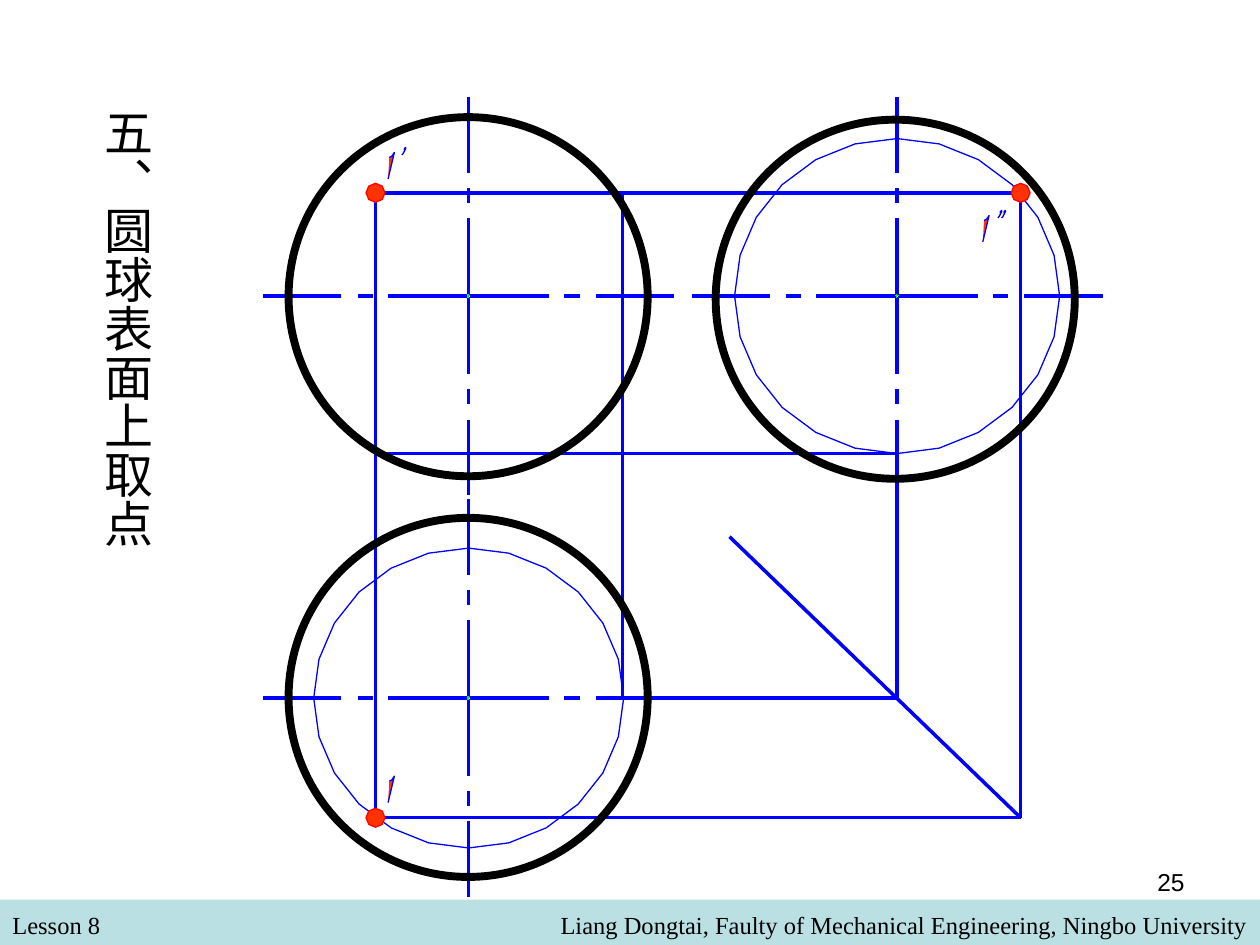
from math import cos, pi, sin

from lxml.etree import SubElement
from pptx import Presentation
from pptx.dml.color import RGBColor
from pptx.enum.shapes import MSO_CONNECTOR, MSO_SHAPE
from pptx.enum.text import MSO_AUTO_SIZE, PP_ALIGN
from pptx.oxml.ns import qn
from pptx.util import Inches, Pt

BLACK, BLUE, RED, GREEN = "000000", "0000FF", "FF0000", "00FF00"
POINT_FILL, FOOTER_FILL = "FF3300", "BBE0E3"
SPHERE_DIAMETER = 2.85

FRONT, SIDE, TOP = (3.72, 2.35), (7.12, 2.35), (3.72, 5.54)
POINT_FRONT, POINT_SIDE, POINT_TOP = (2.98, 1.53), (8.1, 1.53), (2.98, 6.49)

# Dash spans of a centre line, measured outwards from the centre
HORIZONTAL_DASHES = [(0.01, 0.64), (0.76, 0.88), (1.01, 1.63)]
VERTICAL_DASHES = [(0.01, 0.62), (0.74, 0.86), (0.98, 1.58)]

SLASH = [(0.01, 0.04), (0.03, 0.03), (0.05, 0), (0, 0.21)]
PRIME = [(0.03, 0.01), (0.02, 0.02), (0.02, 0.01), (0.03, 0),
         (0.03, 0.01), (0.02, 0.03), (0.01, 0.05), (0, 0.06)]


def color(hex_string):
    return RGBColor.from_string(hex_string)


def style(shape, fill=None, line=None, width=0):
    shape.shadow.inherit = False
    if fill:
        shape.fill.solid()
        shape.fill.fore_color.rgb = color(fill)
    else:
        shape.fill.background()
    if line:
        shape.line.color.rgb = color(line)
        shape.line.width = Pt(width)
    else:
        shape.line.fill.background()


def add_line(slide, start, end, line=BLUE):
    connector = slide.shapes.add_connector(
        MSO_CONNECTOR.STRAIGHT, *map(Inches, (*start, *end)))
    connector.line.color.rgb = color(line)
    connector.line.width = Pt(0)
    SubElement(connector._element.spPr, qn("a:effectLst"))


def add_outline(slide, left, top, offsets, fill=None, line=BLUE, close=False):
    points = [(Inches(left + x), Inches(top + y)) for x, y in offsets]
    builder = slide.shapes.build_freeform(*points[0])
    builder.add_line_segments(points[1:], close=close)
    style(builder.convert_to_shape(), fill, line)


def add_polygon(slide, center, radius_x, radius_y, sides, fill=None, line=BLUE):
    angles = [2 * pi * index / sides for index in range(sides)]
    offsets = [(radius_x * cos(angle), radius_y * sin(angle)) for angle in angles]
    add_outline(slide, *center, offsets, fill, line, close=True)


def add_text(slide, box, text, size, font, align=PP_ALIGN.LEFT, vertical=False):
    text_box = slide.shapes.add_textbox(*map(Inches, box))
    frame = text_box.text_frame
    frame.word_wrap = True
    frame.auto_size = MSO_AUTO_SIZE.SHAPE_TO_FIT_TEXT
    if vertical:
        frame._txBody.bodyPr.set("vert", "eaVert")
        frame.margin_left = frame.margin_right = Inches(0.05)
        frame.margin_top = frame.margin_bottom = Inches(0.1)
    paragraph = frame.paragraphs[0]
    paragraph.alignment = align
    run = paragraph.add_run()
    run.text = text
    run.font.size = Pt(size)
    run.font.name = font
    run.font.color.rgb = color(BLACK)


def add_footer(slide, left, top, width, height):
    band = slide.shapes.add_shape(
        MSO_SHAPE.RECTANGLE, *map(Inches, (left, top, width, height)))
    style(band, FOOTER_FILL)
    text_top = top + 0.03
    add_text(slide, (left, text_top, 4.83, 0.34), "Lesson 8", 14, "Times New Roman")
    add_text(slide, (left + 1.83, text_top, width - 1.83, 0.34),
             "Liang Dongtai, Faulty of Mechanical Engineering, Ningbo University",
             14, "Times New Roman", PP_ALIGN.RIGHT)


def add_projection_lines(slide):
    fold = (SIDE[0], TOP[1])
    corner = (POINT_SIDE[0], POINT_TOP[1])
    for start, end in [
        (POINT_TOP, corner),
        (POINT_FRONT, POINT_TOP),
        (POINT_FRONT, POINT_SIDE),
        (POINT_SIDE, corner),
        ((4.94, 1.53), (4.94, 5.55)),
        ((2.98, 3.6), (7.12, 3.6)),
        ((5.35, TOP[1]), fold),
        ((SIDE[0], 3.93), fold),
        ((5.79, 4.26), corner),
    ]:
        add_line(slide, start, end)


def add_point(slide, center, label, primes=()):
    """Draw a dot and its slanted label, with one prime per offset given."""
    add_polygon(slide, center, 0.075, 0.075, 8, POINT_FILL, RED)
    left, top = label
    add_outline(slide, left, top, SLASH, POINT_FILL)
    for offset in primes:
        add_outline(slide, left + offset, top - 0.04, PRIME, POINT_FILL)


def add_sphere_view(slide, center, left, top):
    """Draw centre lines about center, and the sphere outline at left, top."""
    x, y = center
    for sign in (-1, 1):
        for near, far in HORIZONTAL_DASHES:
            add_line(slide, (x + sign * near, y), (x + sign * far, y))
        for near, far in VERTICAL_DASHES:
            add_line(slide, (x, y + sign * near), (x, y + sign * far))
    add_line(slide, (x - 0.01, y), (x, y), GREEN)
    add_line(slide, (x, y - 0.01), (x, y), GREEN)
    sphere = slide.shapes.add_shape(
        MSO_SHAPE.OVAL,
        *map(Inches, (left, top, SPHERE_DIAMETER, SPHERE_DIAMETER)))
    style(sphere, line=BLACK, width=4.5)


def main():
    presentation = Presentation()
    presentation.slide_width, presentation.slide_height = Inches(10), Inches(7.5)
    slide = presentation.slides.add_slide(presentation.slide_layouts[6])

    add_footer(slide, 0, 7.14, 10, 0.36)
    add_polygon(slide, TOP, 1.23, 1.19, 24)
    add_polygon(slide, SIDE, 1.29, 1.25, 24)
    add_projection_lines(slide)
    add_point(slide, POINT_TOP, (3.08, 6.16))
    add_point(slide, POINT_FRONT, (3.08, 1.21), [0.11])
    add_point(slide, POINT_SIDE, (7.8, 1.71), [0.12, 0.15])
    add_sphere_view(slide, TOP, 2.29, 4.11)
    add_sphere_view(slide, SIDE, 5.68, 0.95)
    add_sphere_view(slide, FRONT, 2.29, 0.93)
    add_text(slide, (0.63, 0.76, 0.66, 4.1), "五、圆球表面上取点",
             28, "Arial", vertical=True)
    add_text(slide, (7.17, 6.83, 2.33, 0.34), "25", 14, "Arial", PP_ALIGN.RIGHT)

    presentation.save("out.pptx")


if __name__ == "__main__":
    main()
